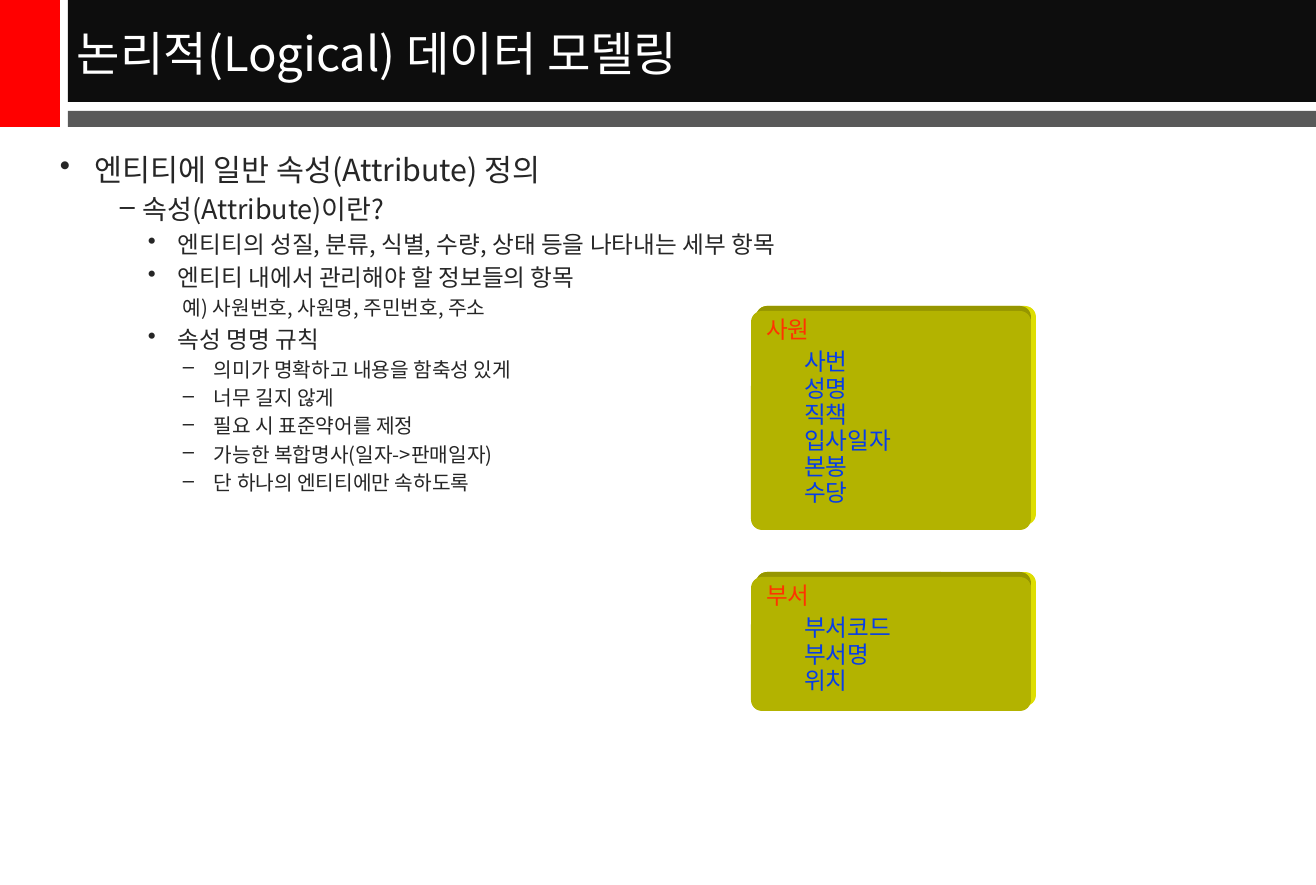
"""Build the slide on logical data modeling: defining entity attributes."""
from lxml import etree
from pptx import Presentation, util as u
from pptx.dml.color import RGBColor
from pptx.enum import shapes, text
from pptx.oxml.ns import qn

PX = 914400 / 121.5
COLORS = {
    "red": "FF0000", "black": "0D0D0D", "gray": "595959", "white": "FFFFFF",
    "body": "262626", "face": "B3B300", "top": "969600", "side": "DEDE00",
    "entity": "FF3300", "attribute": "063DE8",
}
KOREAN = "Noto Sans CJK KR"


def block(kind, color, *box):
    shape = slide.shapes.add_shape(kind, *(round(n * PX) for n in box))
    shape.shadow.inherit = False
    shape.fill.solid()
    shape.fill.fore_color.rgb = RGBColor.from_string(COLORS[color])
    shape.line.fill.background()
    return shape


def write(paragraph, words, size, color, margin=0, indent=0, bullet=None, latin=KOREAN):
    paragraph.text = words
    paragraph.alignment = text.PP_ALIGN.LEFT
    font = paragraph.font
    font.size = u.Pt(size)
    font.name = latin
    font.color.rgb = RGBColor.from_string(COLORS[color])
    props = paragraph._p.get_or_add_pPr()
    props.set("marL", str(round(margin * PX)))
    props.set("indent", str(round(indent * PX)))
    defaults = props.find(qn("a:defRPr"))
    etree.SubElement(defaults, qn("a:ea"), typeface=KOREAN)
    if bullet:
        defaults.addprevious(etree.Element(qn("a:buChar"), char=bullet))


prs = Presentation()
prs.slide_width, prs.slide_height = round(1316 * PX), round(885 * PX)
slide = prs.slides.add_slide(prs.slide_layouts[6])
RECT = shapes.MSO_SHAPE.RECTANGLE
ROUNDED = shapes.MSO_SHAPE.ROUNDED_RECTANGLE

block(RECT, "red", 0, 0, 60, 127)
block(RECT, "black", 68, 0, 1248, 102)
block(RECT, "gray", 68, 111, 1248, 16)

title = slide.shapes.add_textbox(*(round(n * PX) for n in (65, 3, 1251, 100))).text_frame
title.word_wrap = True
title.vertical_anchor = text.MSO_ANCHOR.MIDDLE
write(title.paragraphs[0], "논리적(Logical) 데이터 모델링", 28, "white")

LEVELS = [(18, 35, -35), (16, 83, -23), (14, 118, -30), (12, 154, -31)]
outline = [
    (0, "•", "엔티티에 일반 속성(Attribute) 정의"),
    (1, "–", "속성(Attribute)이란?"),
    (2, "•", "엔티티의 성질, 분류, 식별, 수량, 상태 등을 나타내는 세부 항목"),
    (2, "•", "엔티티 내에서 관리해야 할 정보들의 항목"),
    (3, None, "예) 사원번호, 사원명, 주민번호, 주소"),
    (2, "•", "속성 명명 규칙"),
    (3, "–", "의미가 명확하고 내용을 함축성 있게"),
    (3, "–", "너무 길지 않게"),
    (3, "–", "필요 시 표준약어를 제정"),
    (3, "–", "가능한 복합명사(일자->판매일자)"),
    (3, "–", "단 하나의 엔티티에만 속하도록"),
]
body = slide.shapes.add_textbox(*(round(n * PX) for n in (48, 145, 1224, 660))).text_frame
body.word_wrap = True
for i, (level, bullet, words) in enumerate(outline):
    item = body.add_paragraph() if i else body.paragraphs[0]
    size, margin, indent = LEVELS[level]
    write(item, words, size, "body", margin, indent, bullet)
    item.level = level
    item.space_before = u.Pt(size / 5 if i else 0)

entities = [
    (311, 219, ["사원", "사번", "성명", "직책", "입사일자", "본봉", "수당"]),
    (577, 134, ["부서", "부서코드", "부서명", "위치"]),
]
LEFT, WIDTH, DEPTH, RADIUS = 751, 280, 5, 11
for top, height, names in entities:
    side = block(ROUNDED, "side", LEFT + DEPTH, top - DEPTH, WIDTH, height)
    edge = block(ROUNDED, "top", LEFT + DEPTH, top - DEPTH, WIDTH - DEPTH, 2 * RADIUS)
    face = block(ROUNDED, "face", LEFT, top, WIDTH, height)
    for part, short_side in ((side, height), (edge, 2 * RADIUS), (face, height)):
        part.adjustments[0] = RADIUS / short_side
    frame = face.text_frame
    frame.word_wrap = True
    frame.vertical_anchor = text.MSO_ANCHOR.TOP
    for i, name in enumerate(names):
        line = frame.add_paragraph() if i else frame.paragraphs[0]
        write(line, name, 14, "attribute" if i else "entity", 38 if i else 0, latin="Arial")
        line.line_spacing = (0.8, 0.7, 0.5)[min(i, 2)]
        line.space_before = u.Pt(7 if i else 0)

prs.save("out.pptx")
